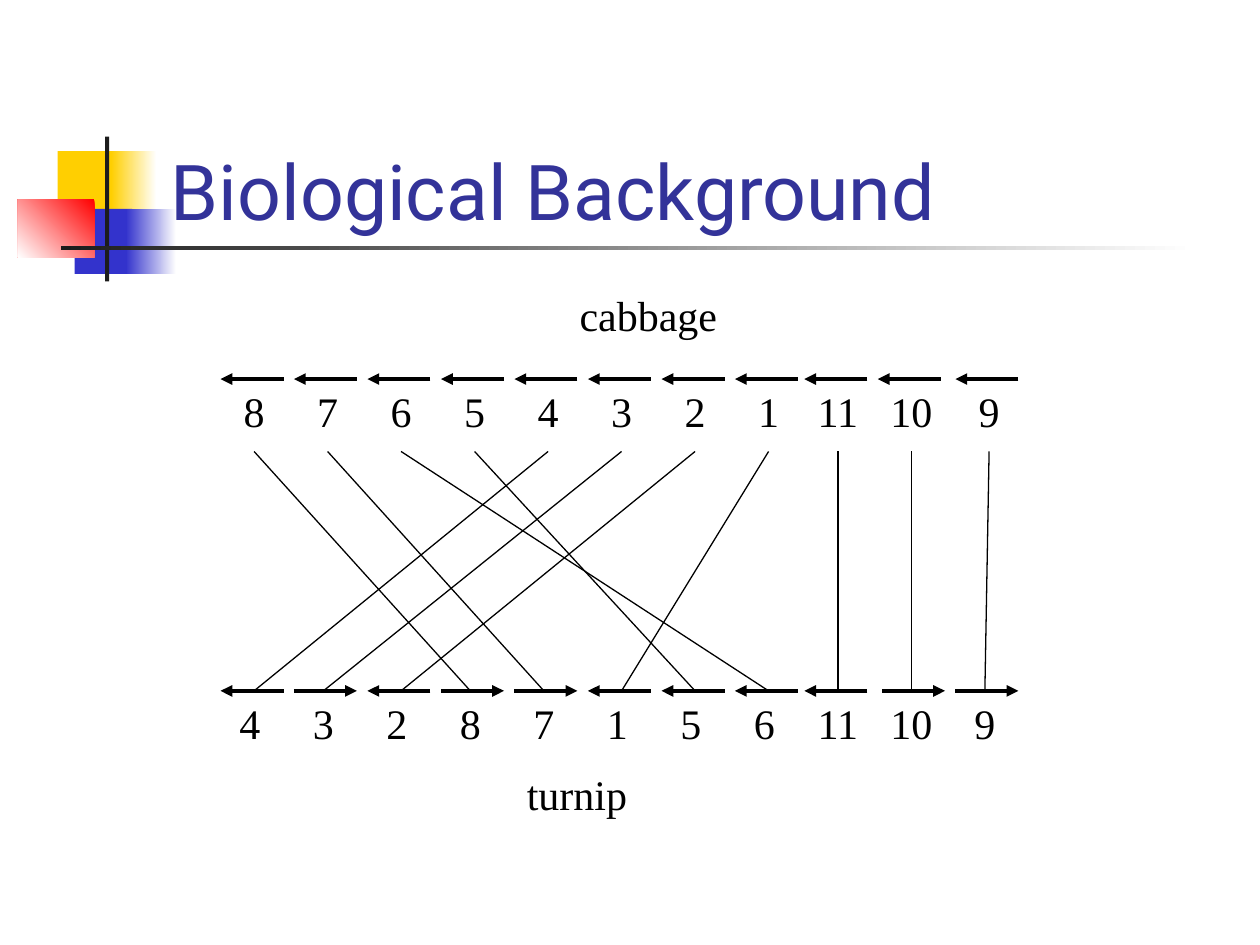
from lxml import etree
from pptx import Presentation
from pptx.dml.color import RGBColor
from pptx.enum.shapes import MSO_CONNECTOR, MSO_SHAPE
from pptx.enum.text import MSO_ANCHOR, MSO_AUTO_SIZE, PP_ALIGN
from pptx.oxml.ns import qn
from pptx.util import Emu, Pt

RECT, LINE = MSO_SHAPE.RECTANGLE, MSO_CONNECTOR.STRAIGHT
TOP, BOTTOM = MSO_ANCHOR.TOP, MSO_ANCHOR.BOTTOM
LEFT, CENTER = PP_ALIGN.LEFT, PP_ALIGN.CENTER
FIXED, GROW = MSO_AUTO_SIZE.NONE, MSO_AUTO_SIZE.SHAPE_TO_FIT_TEXT
SCALE = 7620  # EMU in one px, 120 px to the inch

COLORS = {
    "white": "FFFFFF", "black": "000000", "ink": "1C1C1C", "title": "333399",
    "gold": "FFCF01", "blue": "3333CC", "red": "FF0000",
}

# Content: gene order, with the direction of each gene
TITLE = "Biological Background"
CABBAGE = [(8, "<"), (7, "<"), (6, "<"), (5, "<"), (4, "<"), (3, "<"),
           (2, "<"), (1, "<"), (11, "<"), (10, "<"), (9, "<")]
TURNIP = [(4, "<"), (3, ">"), (2, "<"), (8, ">"), (7, ">"), (1, "<"),
          (5, "<"), (6, "<"), (11, "<"), (10, ">"), (9, ">")]
NAMES = [("cabbage", 537, 270, 161), ("turnip", 487, 726, 125)]

# Ornament: box, start colour, end colour, clockwise angle
DECOR = [
    ((55, 144, 58, 62), "gold", None, 0),
    ((106, 144, 43, 62), "white", "gold", 180),
    ((71, 199, 55, 62), "blue", None, 0),
    ((120, 199, 48, 62), "white", "blue", 180),
    ((17, 190, 73, 55), "red", "white", 135),
    ((100, 130, 4, 138), "ink", None, 0),
    ((58, 234, 1080, 4), "white", "ink", 180),
]

# Layout of the two gene rows
X0, STEP, ARROW = 210, 70, 60
ROW1, ROW2, LINK = 361, 658, 430
NEAR, FAR = 28, 32  # centre offsets from an arrow's left end
SHIFT1 = {11: -4, 10: -4}  # genes that sit off the even grid
SHIFT2 = {11: -4}


def px(n):
    return Emu(round(n * SCALE))


def rgb(name):
    return RGBColor.from_string(COLORS[name])


def add_text(text, x, y, w, h, size=24, font="Times New Roman",
             color="black", align=CENTER, anchor=TOP, wrap=False):
    box = slide.shapes.add_textbox(px(x), px(y), px(w), px(h))
    frame = box.text_frame
    frame.word_wrap = wrap
    frame.auto_size = FIXED if wrap else GROW
    frame.vertical_anchor = anchor
    para = frame.paragraphs[0]
    para.alignment = align
    run = para.add_run()
    run.text = text
    run.font.size = Pt(size)
    run.font.name = font
    run.font.color.rgb = rgb(color)


def add_line(x1, y1, x2, y2, width=0.75, head=False):
    line = slide.shapes.add_connector(LINE, px(x1), px(y1), px(x2), px(y2))
    line.line.color.rgb = rgb("black")
    line.line.width = Pt(width)
    props = line._element.spPr
    if head:
        tail = etree.SubElement(props.find(qn("a:ln")), qn("a:tailEnd"))
        tail.set("type", "triangle")
    etree.SubElement(props, qn("a:effectLst"))


def add_block(box, first, last, angle):
    block = slide.shapes.add_shape(RECT, *map(px, box))
    block.shadow.inherit = False
    block.line.fill.background()
    if last is None:
        block.fill.solid()
        block.fill.fore_color.rgb = rgb(first)
        return
    block.fill.gradient()
    block.fill.gradient_angle = 360 - angle
    for stop, name, pos in zip(block.fill.gradient_stops, (first, last), (0, 1)):
        stop.color.rgb = rgb(name)
        stop.position = pos


def add_row(genes, y, shift, offset):
    """Draw one row of genes; return the link point of each gene."""
    ends = {}
    for i, (gene, way) in enumerate(genes):
        x = X0 + i * STEP + shift.get(gene, 0)
        start, stop = (x + ARROW, x) if way == "<" else (x, x + ARROW)
        add_line(start, y, stop, y, width=2.25, head=True)
        mid = x + (FAR if gene == 11 else offset)
        w = 64 if gene > 9 else 44
        add_text(str(gene), mid - w / 2, y, w, 60)
        ends[gene] = x + (FAR if way == "<" else NEAR)
    return ends


prs = Presentation()
prs.slide_width, prs.slide_height = px(1200), px(900)
slide = prs.slides.add_slide(prs.slide_layouts[6])

# Ornament and title
for part in DECOR:
    add_block(*part)
add_text(TITLE, 151, 81, 1022, 150, size=44, font="Roboto", color="title",
         align=LEFT, anchor=BOTTOM, wrap=True)

# Gene rows
upper = add_row(CABBAGE, ROW1, SHIFT1, FAR)
lower = add_row(TURNIP, ROW2, SHIFT2, NEAR)

# Links between equal genes
for gene, x in upper.items():
    add_line(x, LINK, lower[gene], ROW2)

# Row names
for name, x, y, w in NAMES:
    add_text(name, x, y, w, 60)

prs.save("out.pptx")
